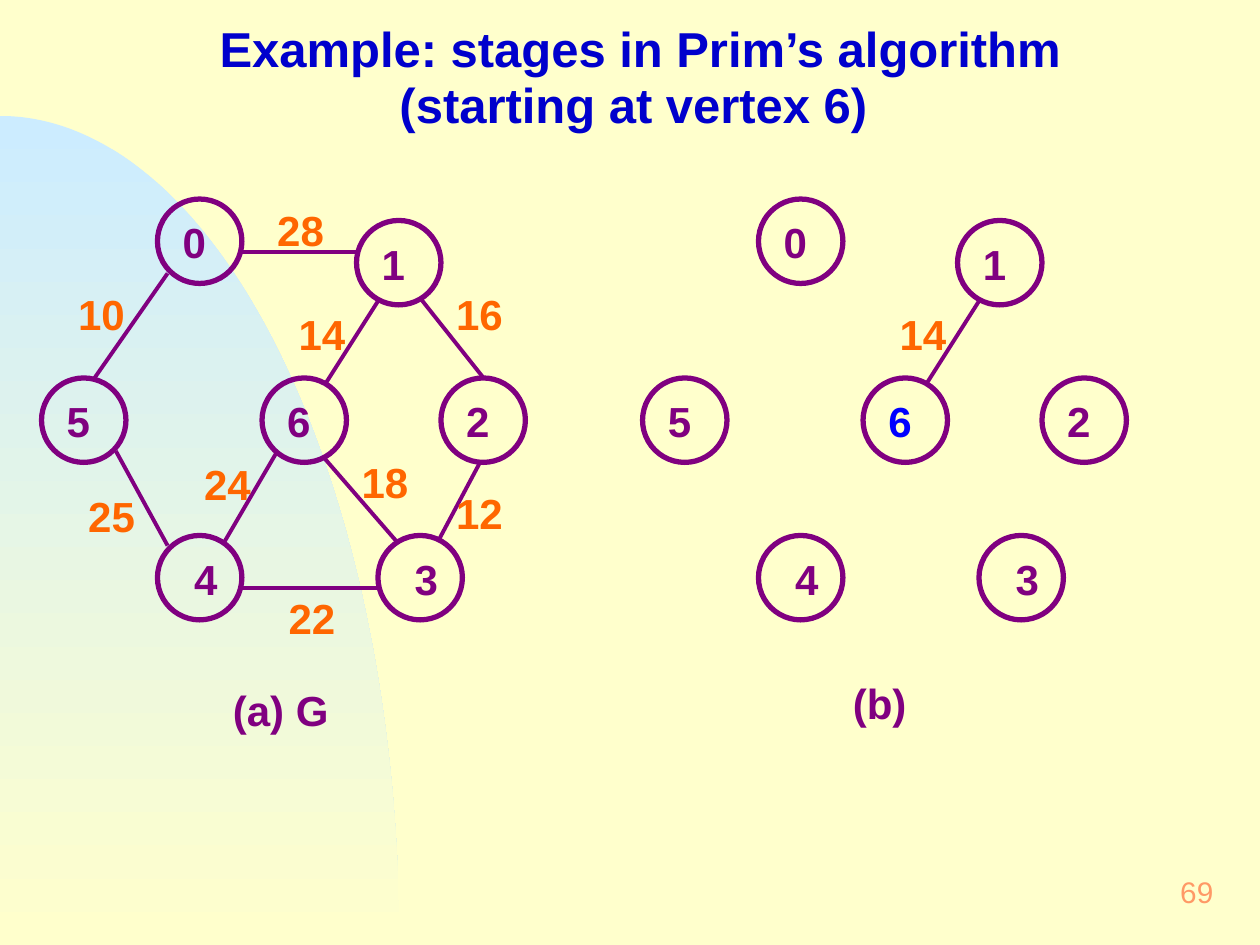
from math import cos, pi, sin

from lxml import etree
from pptx import Presentation
from pptx.dml.color import RGBColor
from pptx.enum.shapes import MSO_CONNECTOR as CONNECTOR, MSO_SHAPE as SHAPE
from pptx.enum.text import MSO_ANCHOR as ANCHOR, PP_ALIGN as ALIGN
from pptx.oxml.ns import qn
from pptx.util import Inches, Pt

COLORS = {
    "background": "FFFFCC",
    "sky": "CCECFF",
    "title": "0000CC",
    "graph": "800080",
    "weight": "FF6600",
    "start": "0000FF",
    "number": "FF9966",
}
NODE_SIZE = 0.67
GRAPH_B_SHIFT = 4.77

# vertex: circle left, circle top, label left offset, label width
VERTICES = {
    "0": (1.25, 1.58, 0.08, 0.5),
    "1": (2.83, 1.75, 0.08, 0.5),
    "2": (3.5, 3, 0.08, 0.5),
    "3": (3, 4.25, 0.17, 0.58),
    "4": (1.25, 4.25, 0.17, 0.5),
    "5": (0.33, 3, 0.08, 0.5),
    "6": (2.08, 3, 0.08, 0.5),
}
# weight: line start, line end, label left and top
EDGES = {
    "28": ((2.83, 2), (1.92, 2), (2.08, 1.56)),
    "16": ((3.33, 2.36), (3.83, 2.99), (3.5, 2.23)),
    "14": ((3, 2.39), (2.58, 3.05), (2.25, 2.39)),
    "10": ((1.33, 2.17), (0.75, 3), (0.5, 2.23)),
    "24": ((2.19, 3.6), (1.77, 4.32), (1.5, 3.58)),
    "25": ((0.92, 3.58), (1.33, 4.33), (0.58, 3.83)),
    "22": ((3, 4.67), (1.92, 4.67), (2.17, 4.64)),
    "18": ((2.56, 3.62), (3.15, 4.3), (2.75, 3.56)),
    "12": ((3.81, 3.67), (3.48, 4.29), (3.5, 3.81)),
}


def rgb(name):
    return RGBColor.from_string(COLORS[name])


def add_text(shapes, text, left, top, width, height, color,
             size=24, bold=True, align=ALIGN.LEFT, margins=(0.12, 0.06)):
    """Add a one-paragraph text box and return its text frame."""
    box = shapes.add_textbox(Inches(left), Inches(top), Inches(width), Inches(height))
    frame = box.text_frame
    frame.word_wrap = True
    frame.margin_left = frame.margin_right = Inches(margins[0])
    frame.margin_top = frame.margin_bottom = Inches(margins[1])
    paragraph = frame.paragraphs[0]
    paragraph.text = text
    paragraph.alignment = align
    paragraph.font.name = "Arial"
    paragraph.font.size = Pt(size)
    paragraph.font.bold = bold
    paragraph.font.color.rgb = rgb(color)
    return frame


presentation = Presentation()
presentation.slide_width = Inches(10)
presentation.slide_height = Inches(7.5)
slide = presentation.slides.add_slide(presentation.slide_layouts[6])
slide.background.fill.solid()
slide.background.fill.fore_color.rgb = rgb("background")

# Quarter ellipse in the lower left corner
ARC_STEPS = 90
angles = [step * pi / 2 / ARC_STEPS for step in range(ARC_STEPS + 1)]
arc = [(Inches(3.17 * sin(angle)), Inches(7.5 - 6.58 * cos(angle))) for angle in angles]
builder = slide.shapes.build_freeform(*arc[0])
builder.add_line_segments(arc[1:] + [(0, Inches(7.5))], close=True)
backdrop = builder.convert_to_shape()
backdrop.shadow.inherit = False
backdrop.line.fill.background()
backdrop.fill.gradient()
backdrop.fill.gradient_angle = 270
for stop, position, color in zip(backdrop.fill.gradient_stops, (0, 1), ("sky", "background")):
    stop.position = position
    stop.color.rgb = rgb(color)

title = add_text(slide.shapes, "Example: stages in Prim’s algorithm (starting at vertex 6) ",
                 1.37, 0.13, 7.42, 0.99, "title", size=28, align=ALIGN.CENTER,
                 margins=(0.1, 0.05))
title.paragraphs[0].line_spacing = 0.95

graphs = [
    (0, list(EDGES), "graph"),
    (GRAPH_B_SHIFT, ["14"], "start"),
]
for shift, weights, start_color in graphs:
    shapes = slide.shapes.add_group_shape().shapes
    for vertex, (left, top, label_offset, label_width) in VERTICES.items():
        circle = shapes.add_shape(SHAPE.OVAL, Inches(left + shift), Inches(top),
                                  Inches(NODE_SIZE), Inches(NODE_SIZE))
        circle.shadow.inherit = False
        circle.fill.background()
        circle.line.color.rgb = rgb("graph")
        circle.line.width = Pt(3)
        add_text(shapes, vertex, left + shift + label_offset, top + 0.08, label_width, 0.52,
                 start_color if vertex == "6" else "graph")
    for weight in weights:
        (x1, y1), (x2, y2), (label_left, label_top) = EDGES[weight]
        edge = shapes.add_connector(CONNECTOR.STRAIGHT, Inches(x1 + shift), Inches(y1),
                                    Inches(x2 + shift), Inches(y2))
        edge.line.color.rgb = rgb("graph")
        edge.line.width = Pt(2.25)
        etree.SubElement(edge._element.spPr, qn("a:effectLst"))
        add_text(shapes, weight, label_left + shift, label_top, 0.75, 0.52, "weight")

for caption, left, top in [("(a) G", 1.75, 5.38), ("(b)", 6.67, 5.33)]:
    add_text(slide.shapes, caption, left, top, 1.08, 0.5, "graph", margins=(0.1, 0.05))

page_number = add_text(slide.shapes, "69", 7.67, 6.83, 2.08, 0.5, "number",
                       size=17, bold=False, align=ALIGN.RIGHT)
page_number.vertical_anchor = ANCHOR.MIDDLE

presentation.save("out.pptx")
